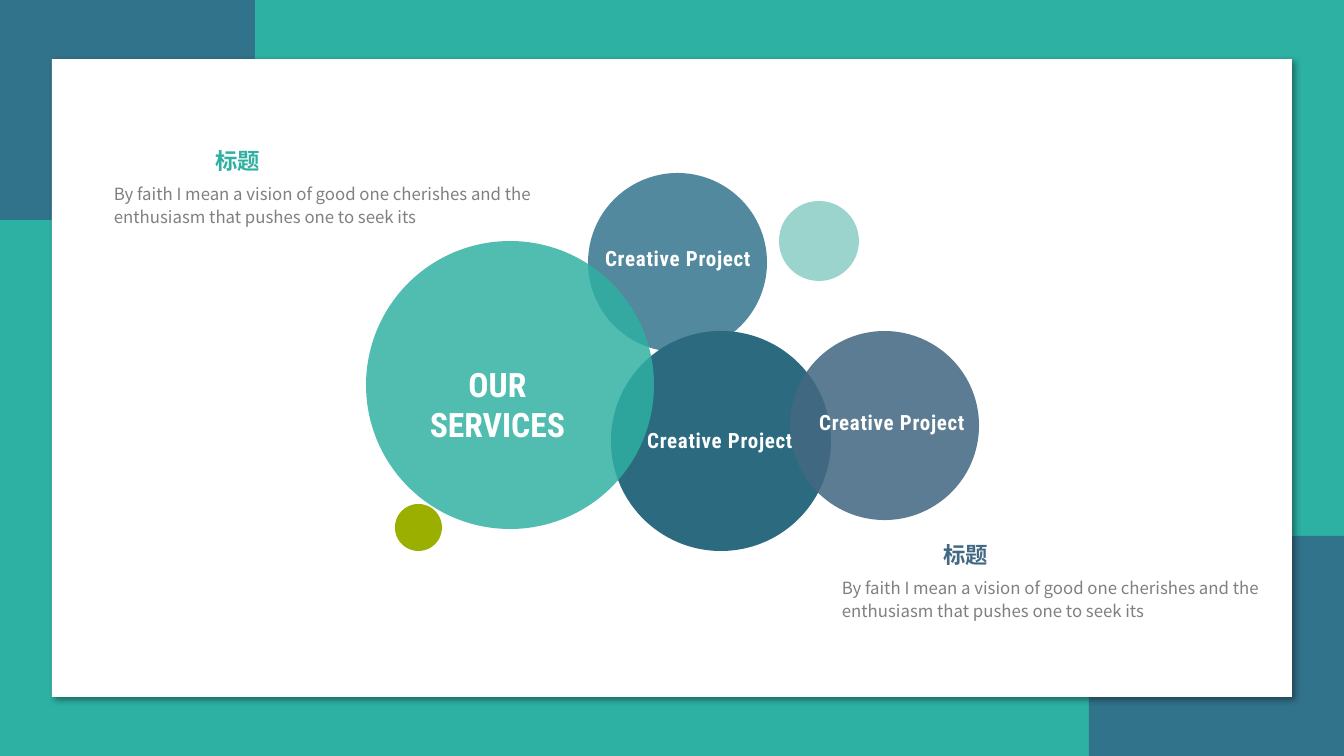
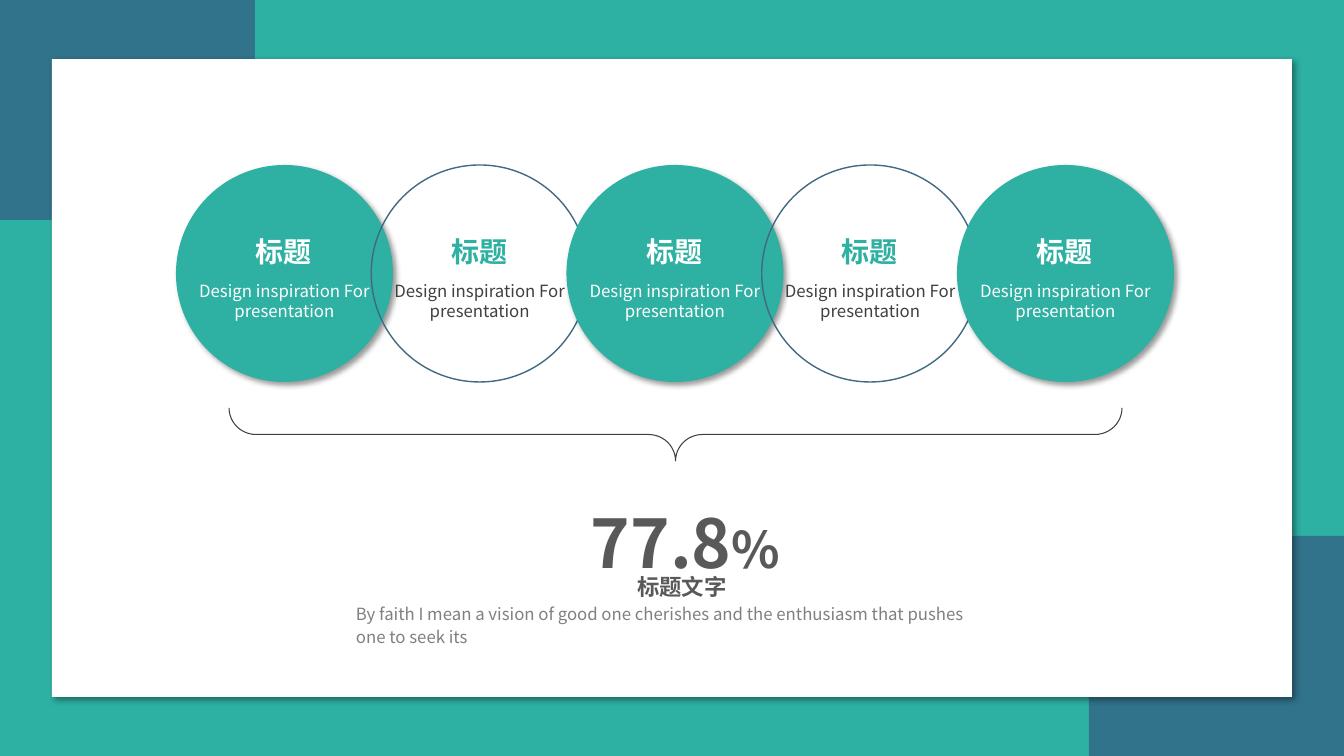
from lxml import etree
from pptx import Presentation, util as u
from pptx.dml.color import RGBColor
from pptx.enum import shapes, text
from pptx.oxml.ns import qn

PX = 9144000 / 1008  # EMU in one px
WIDTH, HEIGHT = 1344, 756
CONDENSED, SANS = "Roboto Condensed", "Noto Sans CJK SC"
GREEN, TEAL, BLUE, SLATE = "2DB1A3", "2EB0A2", "31738B", "436982"
WHITE, GREY, DARK, INK = "FFFFFF", "808080", "595959", "404040"
OVAL, RECT = shapes.MSO_SHAPE.OVAL, shapes.MSO_SHAPE.RECTANGLE
CENTER, LEFT = text.PP_ALIGN.CENTER, text.PP_ALIGN.LEFT
BODY = ("By faith I mean a vision of good one cherishes and the "
        "enthusiasm that pushes one to seek its")


def px(length):
    return u.Emu(round(length * PX))


def paint(color_format, color):
    color_format.rgb = RGBColor.from_string(color)


def add_figure(page, kind, box, fill=None, line=None, line_width=1,
               opacity=100, shadow=False):
    figure = page.shapes.add_shape(kind, *map(px, box))
    figure.shadow.inherit = False
    properties = figure.element.spPr
    if fill:
        figure.fill.solid()
        paint(figure.fill.fore_color, fill)
        if opacity < 100:
            color = properties.find(qn("a:solidFill"))[0]
            etree.SubElement(color, qn("a:alpha"), val=str(opacity * 1000))
    else:
        figure.fill.background()
    if line:
        paint(figure.line.color, line)
        figure.line.width = u.Pt(line_width)
    else:
        figure.line.fill.background()
    if shadow:
        effects = properties.find(qn("a:effectLst"))
        outer = etree.SubElement(
            effects, qn("a:outerShdw"), blurRad=str(u.Pt(4)),
            dist=str(u.Pt(3)), dir="2700000", algn="tl", rotWithShape="0")
        black = etree.SubElement(outer, qn("a:srgbClr"), val="000000")
        etree.SubElement(black, qn("a:alpha"), val="40000")
    return figure


def add_text(page, box, words, size, color, font=SANS, bold=False,
             align=CENTER, spacing=None, tracking=0, inset=True):
    frame = page.shapes.add_textbox(*map(px, box)).text_frame
    frame.word_wrap = True
    if not inset:
        frame.margin_left = frame.margin_right = 0
        frame.margin_top = frame.margin_bottom = 0
    para = frame.paragraphs[0]
    para.text = words
    para.alignment = align
    if spacing:
        para.line_spacing = spacing
    para.font.size, para.font.bold, para.font.name = u.Pt(size), bold, font
    paint(para.font.color, color)
    # East Asian font and letter spacing
    defaults = para._p.get_or_add_pPr().get_or_add_defRPr()
    etree.SubElement(defaults, qn("a:ea"), typeface=SANS)
    if tracking:
        defaults.set("spc", str(tracking))
    return para


def add_body(page, left, top, width):
    add_text(page, (left, top, width, 55), BODY, 12, GREY,
             align=LEFT, spacing=u.Pt(16))


def add_caption(page, left, top, color):
    """Short heading above a paragraph."""
    add_text(page, (left + 84, top, 100, 37), "标题", 16, color,
             CONDENSED, bold=True)
    add_body(page, left, top + 35, 471)


def build_master(deck, page):
    """Background, corner bands and white card for every slide."""
    master = deck.slide_master
    master.background.fill.solid()
    paint(master.background.fill.fore_color, GREEN)
    band_width, band_height = 255, 220
    parts = [
        add_figure(page, RECT, (0, 0, band_width, band_height), BLUE),
        add_figure(page, RECT, (WIDTH - band_width, HEIGHT - band_height,
                                band_width, band_height), BLUE),
        add_figure(page, RECT, (52, 59, 1240, 638), WHITE, shadow=True),
    ]
    for index, part in enumerate(parts):
        part.element.nvSpPr.cNvPr.set("id", str(101 + index))
        master.shapes.element.insert(2 + index, part.element)


def build_services(page):
    # Small accent dots
    add_figure(page, OVAL, (779, 201, 80, 80), "9BD4CC")
    add_figure(page, OVAL, (395, 504, 47, 47), "9BAF00")

    # Project bubbles: left, top, diameter, colour, opacity, label offset
    bubbles = [
        (588, 173, 179, "2F728B", 83, (-37, 72)),
        (611, 331, 220, "2C6A80", 100, (-18, 96)),
        (790, 331, 189, SLATE, 87, (-25, 79)),
    ]
    for left, top, size, color, opacity, (dx, dy) in bubbles:
        add_figure(page, OVAL, (left, top, size, size), color, opacity=opacity)
        add_text(page, (left + dx, top + dy, 254, 34), "Creative Project", 15,
                 WHITE, CONDENSED, bold=True, tracking=50, inset=False)

    # Main bubble
    add_figure(page, OVAL, (366, 241, 288, 288), TEAL, opacity=83)
    add_text(page, (404, 359, 187, 92), "OUR SERVICES", 24, WHITE,
             CONDENSED, bold=True)

    add_caption(page, 832, 536, SLATE)
    add_caption(page, 104, 142, TEAL)


def add_ring(page, left, top, size, filled):
    """One circle of the chain with its heading and text."""
    box = (left, top, size, size)
    if filled:
        add_figure(page, OVAL, box, TEAL, shadow=True)
    else:
        add_figure(page, OVAL, box, line=SLATE)
    add_text(page, (left + 18, top + 116, 181, 40),
             "Design inspiration For presentation", 12,
             WHITE if filled else INK, inset=False)
    add_text(page, (left + 28, top + 73, 160, 30), "标题", 20,
             WHITE if filled else TEAL, bold=True, spacing=0.9, inset=False)


def add_result(page, left, top):
    """Large figure with its heading and paragraph."""
    number = add_text(page, (left + 235, top, 249, 92), "77.8", 48, DARK,
                      bold=True, align=LEFT)
    percent = number.add_run()
    percent.text = "%"
    percent.font.size = u.Pt(36)
    add_text(page, (left + 256, top + 72, 160, 37), "标题文字", 16, DARK,
             bold=True)
    add_body(page, left, top + 101, 660)


def build_chain(page):
    count, size, left, right = 5, 217, 176, 1174
    step = (right - left - size) / (count - 1)
    for index in range(count):
        add_ring(page, left + index * step, 165, size, index % 2 == 0)

    # Brace turned to point down
    brace = add_figure(page, shapes.MSO_SHAPE.RIGHT_BRACE,
                       (649, -12, 53, 893), line=INK, line_width=0.75)
    brace.rotation = 90
    brace.adjustments[0], brace.adjustments[1] = 0.51, 0.5

    add_result(page, 346, 496)


def main():
    deck = Presentation()
    deck.slide_width, deck.slide_height = px(WIDTH), px(HEIGHT)
    blank = deck.slide_layouts[6]
    services, chain = (deck.slides.add_slide(blank) for _ in range(2))
    build_master(deck, services)
    build_services(services)
    build_chain(chain)
    deck.save("out.pptx")


if __name__ == "__main__":
    main()
